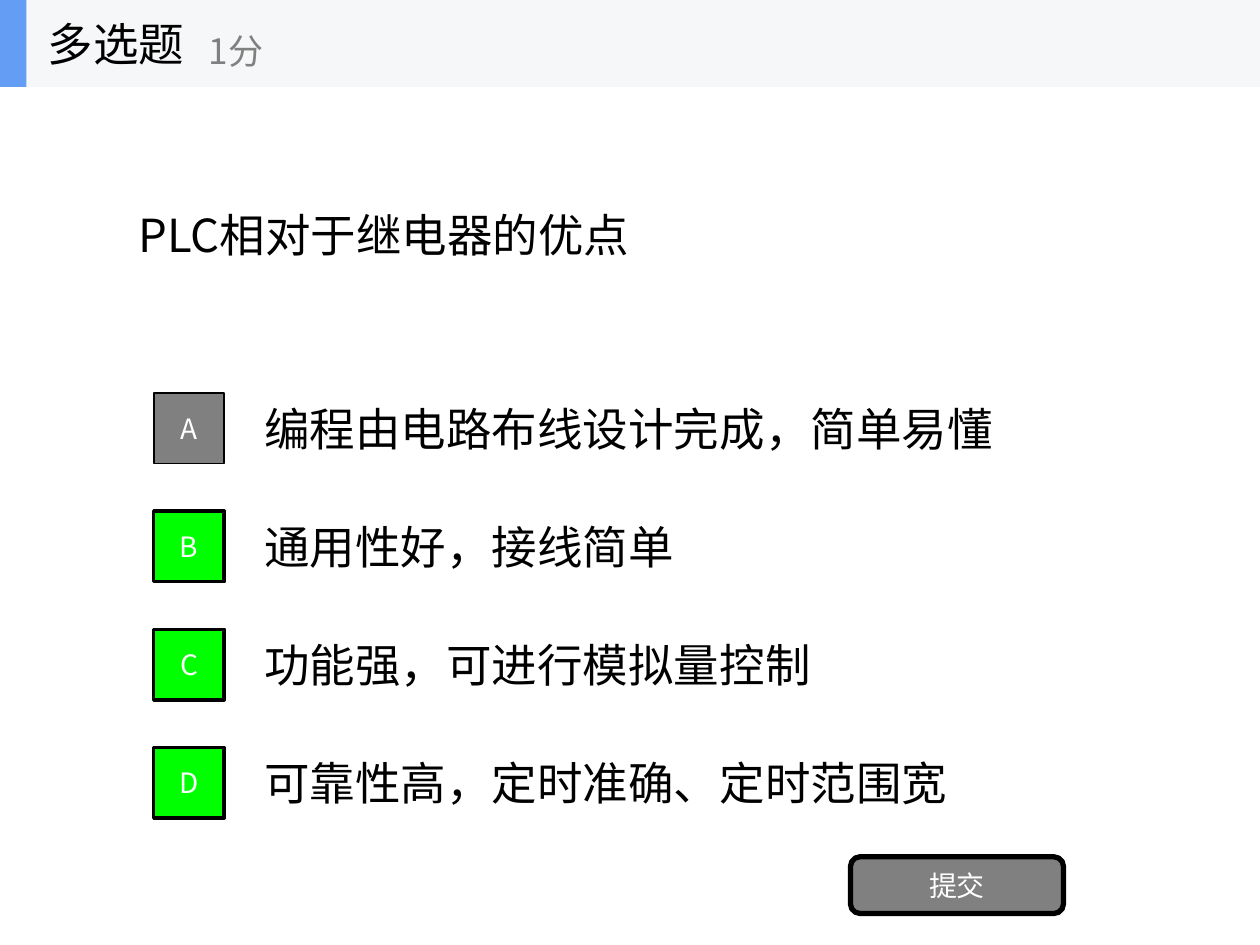
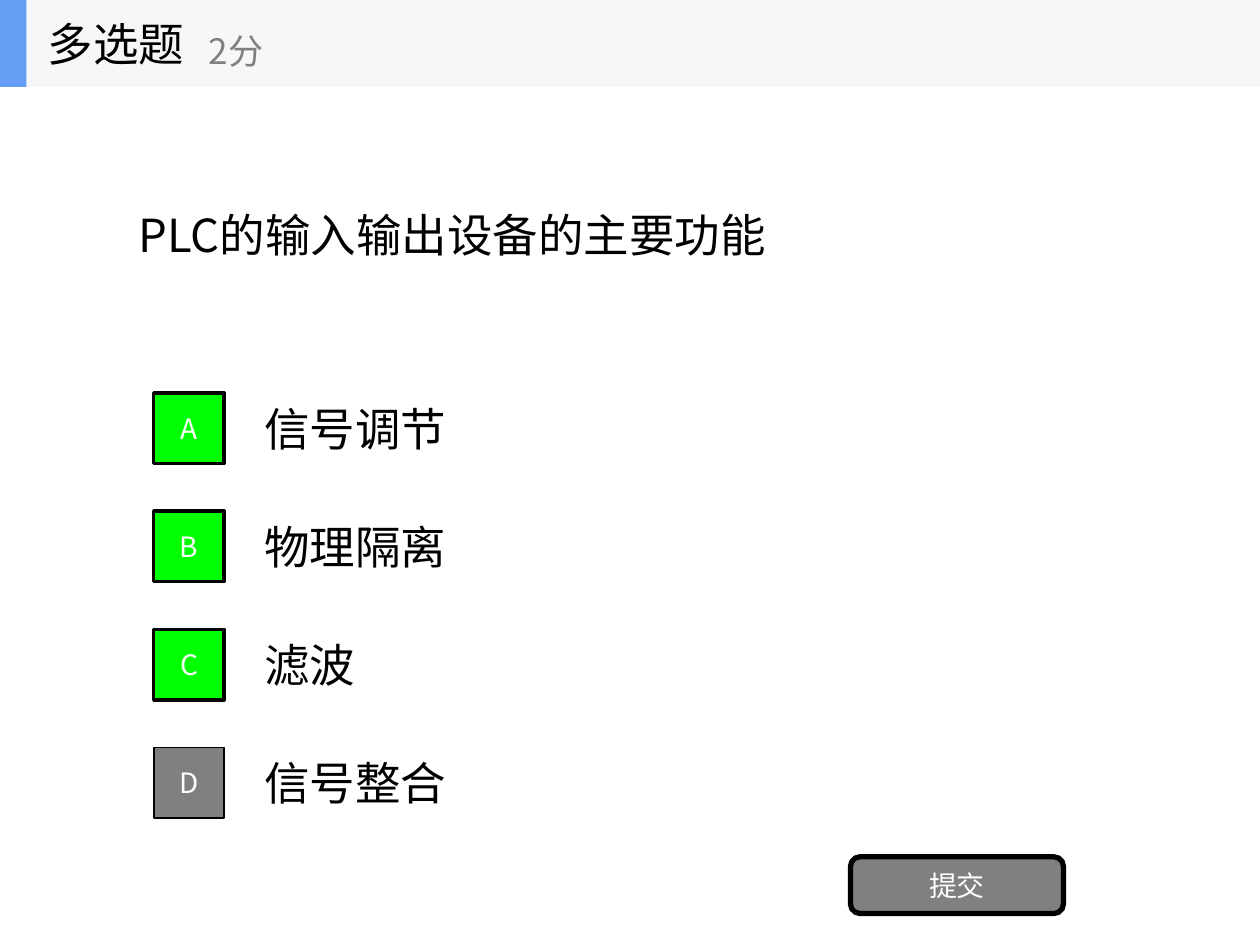
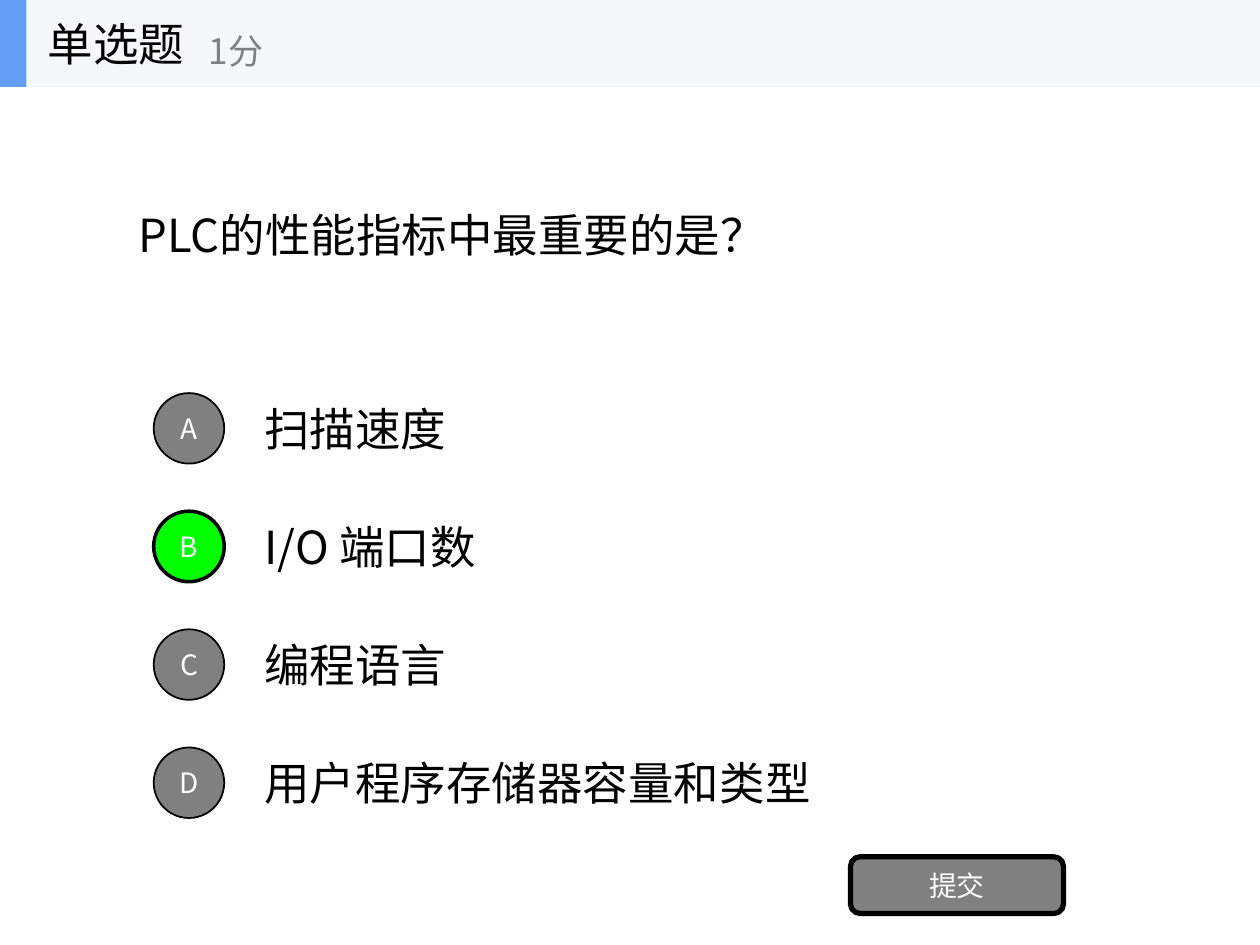
import pptx
import pptx.dml.color
import pptx.enum.shapes
import pptx.enum.text
import pptx.oxml
import pptx.oxml.ns
import pptx.util

Inches = pptx.util.Inches
SHAPE = pptx.enum.shapes.MSO_SHAPE
ALIGN = pptx.enum.text.PP_ALIGN

FONT = "Noto Sans CJK SC"
BLACK, WHITE, GREY = "000000", "FFFFFF", "808080"
CORRECT, BAND, ACCENT = "00FF00", "F6F7F8", "639EF4"

WIDTH, HEIGHT = 10, 7.5
BAND_HEIGHT = 0.69
OPTION_TOP, OPTION_HEIGHT, OPTION_PITCH = 3.05, 0.7, HEIGHT / 8
BADGE_LEFT, BADGE_SIZE = 1.22, 0.56

# Kind, score, question, badge shape, options, correct letters
QUESTIONS = [
    ("多选题", "1分", "PLC相对于继电器的优点", SHAPE.RECTANGLE,
     ["编程由电路布线设计完成，简单易懂", "通用性好，接线简单",
      "功能强，可进行模拟量控制", "可靠性高，定时准确、定时范围宽"], "BCD"),
    ("多选题", "2分", "PLC的输入输出设备的主要功能", SHAPE.RECTANGLE,
     ["信号调节", "物理隔离", "滤波", "信号整合"], "ABC"),
    ("单选题", "1分", "PLC的性能指标中最重要的是？", SHAPE.OVAL,
     ["扫描速度", "I/O 端口数", "编程语言", "用户程序存储器容量和类型"], "B"),
]


def rgb(value):
    return pptx.dml.color.RGBColor.from_string(value)


class QuizDeck:
    """Holds the presentation, its style and the slide being filled."""

    def __init__(self):
        self.presentation = pptx.Presentation()
        self.presentation.slide_width = Inches(WIDTH)
        self.presentation.slide_height = Inches(HEIGHT)
        self.slide = None

    def new_slide(self):
        self.slide = self.presentation.slides.add_slide(self.presentation.slide_layouts[6])

    def set_text(self, holder, text, size, color, align):
        """Put one vertically centred run into a shape or text box."""
        frame = holder.text_frame
        frame.word_wrap = True
        frame.vertical_anchor = pptx.enum.text.MSO_ANCHOR.MIDDLE
        paragraph = frame.paragraphs[0]
        paragraph.alignment = align
        run = paragraph.add_run()
        run.text = text
        run.font.size = pptx.util.Pt(size)
        run.font.name = FONT
        east_asian = pptx.oxml.parse_xml(
            f'<a:ea {pptx.oxml.ns.nsdecls("a")} typeface="{FONT}"/>')
        run.font._element.append(east_asian)
        run.font.color.rgb = rgb(color)

    def text(self, box, text, size=26, color=BLACK):
        holder = self.slide.shapes.add_textbox(*map(Inches, box))
        self.set_text(holder, text, size, color, ALIGN.LEFT)

    def shape(self, kind, box, fill, line_width=0, label=""):
        """Draw a filled shape, outlined in black if line_width (points) is set."""
        shape = self.slide.shapes.add_shape(kind, *map(Inches, box))
        shape.shadow.inherit = False
        shape.fill.solid()
        shape.fill.fore_color.rgb = rgb(fill)
        if line_width:
            shape.line.color.rgb = rgb(BLACK)
            shape.line.width = pptx.util.Pt(line_width)
        else:
            shape.line.fill.background()
        if label:
            self.set_text(shape, label, 16, WHITE, ALIGN.CENTER)

    def header(self, kind, score):
        self.shape(SHAPE.RECTANGLE, (0, 0, WIDTH, BAND_HEIGHT), BAND)
        self.shape(SHAPE.RECTANGLE, (0, 0, 0.21, BAND_HEIGHT), ACCENT)
        self.text((0.28, 0, 2.08, BAND_HEIGHT), kind)
        self.text((1.56, 0.12, 2.5, 0.56), score, 20, GREY)

    def option(self, index, letter, answer, badge, correct):
        top = OPTION_TOP + index * OPTION_PITCH
        self.text((2, top, 7, OPTION_HEIGHT), answer)
        badge_top = top + (OPTION_HEIGHT - BADGE_SIZE) / 2
        self.shape(badge, (BADGE_LEFT, badge_top, BADGE_SIZE, BADGE_SIZE),
                   CORRECT if correct else GREY, 2 if correct else 1, letter)

    def submit_button(self):
        self.shape(SHAPE.ROUNDED_RECTANGLE, (6.75, 6.8, 1.69, 0.45), GREY, 3, "提交")


def main():
    deck = QuizDeck()
    for kind, score, question, badge, answers, correct in QUESTIONS:
        deck.new_slide()
        deck.text((1, BAND_HEIGHT, 8, 2.34), question)
        for index, (letter, answer) in enumerate(zip("ABCD", answers)):
            deck.option(index, letter, answer, badge, letter in correct)
        deck.submit_button()
        deck.header(kind, score)
    deck.presentation.save("out.pptx")


if __name__ == "__main__":
    main()
